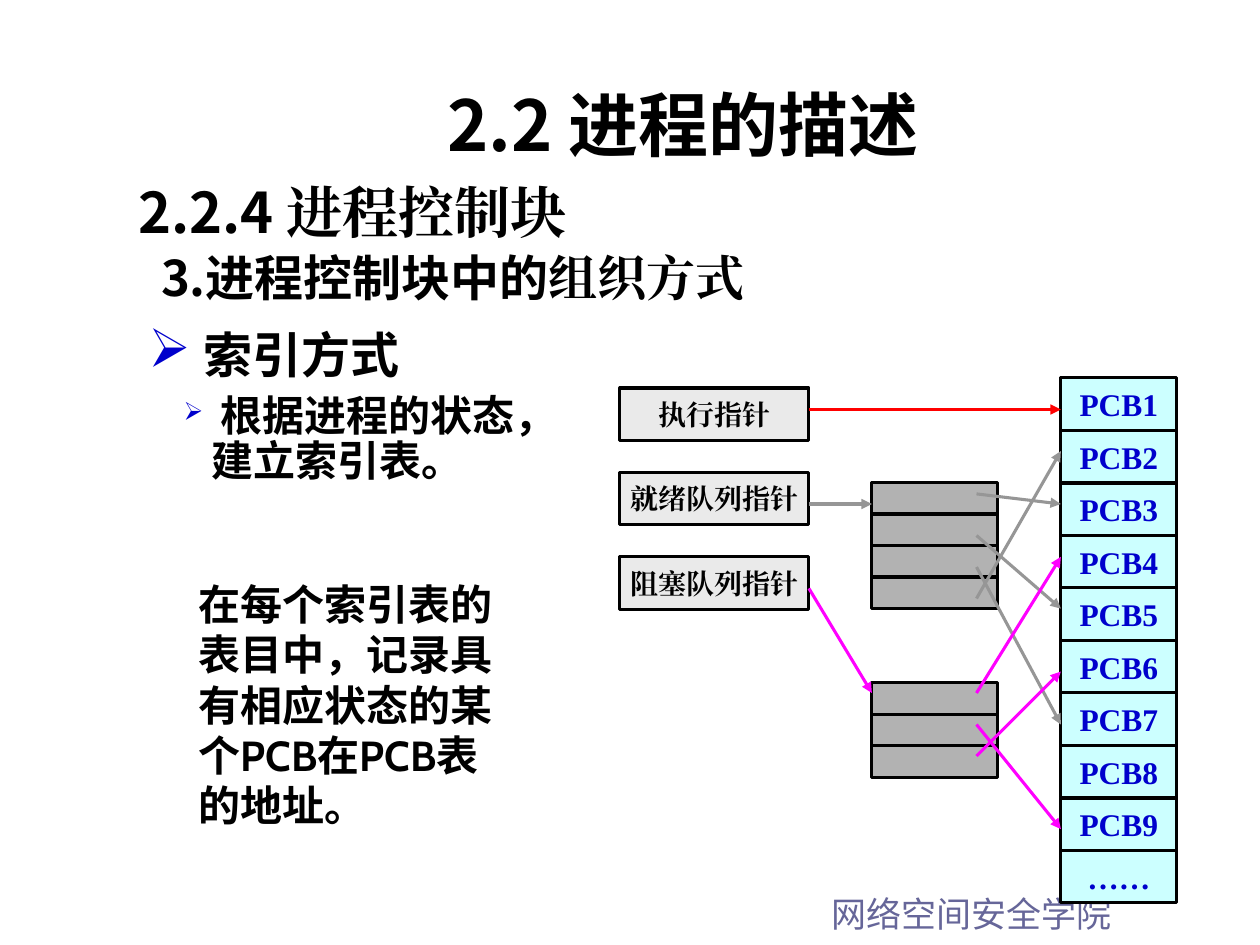
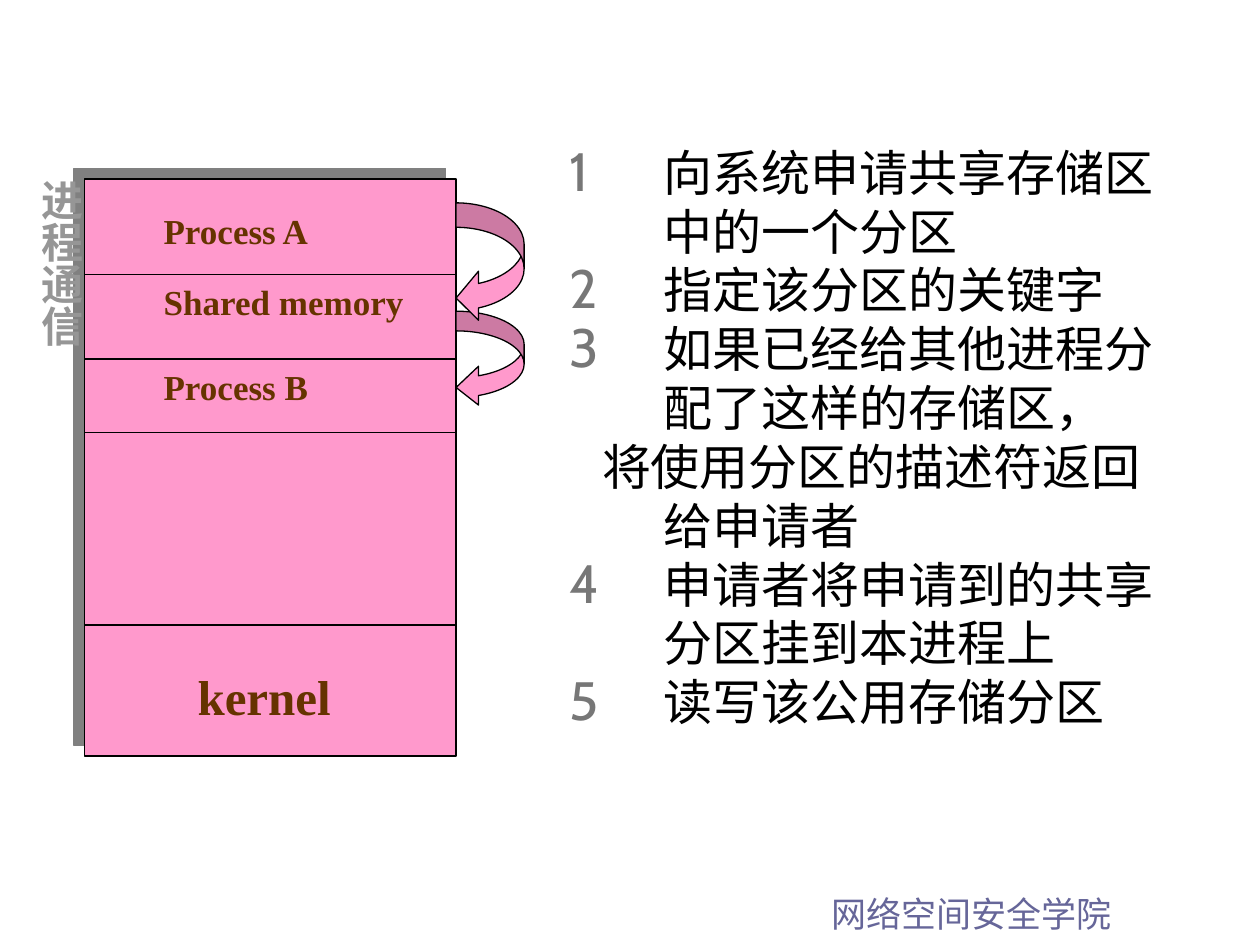
from lxml import etree
from pptx import Presentation
from pptx.dml.color import RGBColor
from pptx.enum.shapes import MSO_CONNECTOR, MSO_SHAPE
from pptx.enum.text import MSO_ANCHOR, PP_ALIGN
from pptx.oxml.ns import qn
from pptx.util import Inches, Pt

COLORS = {
    "black": "000000", "footer": "666699", "blue": "0000CC", "pcb": "CCFFFF",
    "pointer": "EAEAEA", "index": "B2B2B2", "running": "FF0000", "ready": "969696",
    "blocked": "FF00FF", "number": "777777", "memory": "FF99CC", "brown": "663300",
    "shadow": "808080",
}
SANS, SANS_SC, SERIF, BODY = "Noto Sans CJK JP", "Noto Sans CJK SC", "Times New Roman", "Cabin"

FOOTER = "网络空间安全学院"
TITLE = "2.2 进程的描述"
# indent, size, (text, font) runs
HEADINGS = [
    (0, 32, [("2.2.4 ", SANS_SC), ("进程控制块", SERIF)]),
    (0.18, 28, [("3.进程控制块中的", SANS_SC), ("组织方式", SERIF)]),
]
# text, size, left margin, first-line indent, space before, bullet size
BULLETS = [
    ("索引方式", 28, 0.44, -0.44, 7, 110),
    (" 根据进程的状态，建立索引表。", 24, 0.5, -0.22, 6, 60),
]
INDEX_NOTE = ["在每个索引表的", "表目中，记录具", "有相应状态的某", "个PCB在PCB表", "的地址。"]

PCBS = [f"PCB{number}" for number in range(1, 10)] + ["……"]
POINTERS = ["执行指针", "就绪队列指针", "阻塞队列指针"]
INDEX_TABLES = [(3.83, 4), (5.42, 3)]  # top, entries
POINTER_RIGHT, INDEX_LEFT, ENTRY_X, PCB_LEFT = 6.42, 6.92, 7.75, 8.42
ARROWS = [
    ("running", (POINTER_RIGHT, 3.25), (PCB_LEFT, 3.25)),
    ("ready", (POINTER_RIGHT, 4), (INDEX_LEFT, 4)),
    ("blocked", (POINTER_RIGHT, 4.67), (INDEX_LEFT, 5.5)),
    ("ready", (ENTRY_X, 3.92), (PCB_LEFT, 4)),
    ("ready", (ENTRY_X, 4.25), (PCB_LEFT, 4.83)),
    ("ready", (ENTRY_X, 4.5), (PCB_LEFT, 5.75)),
    ("ready", (ENTRY_X, 4.75), (PCB_LEFT, 3.58)),
    ("blocked", (ENTRY_X, 5.5), (PCB_LEFT, 4.42)),
    ("blocked", (ENTRY_X, 6), (PCB_LEFT, 5.33)),
    ("blocked", (ENTRY_X, 5.75), (PCB_LEFT, 6.58)),
]

SIDE_TITLE = " 进程通信"
# text, first number of its list (None for an unnumbered line)
STEPS = [
    ("向系统申请共享存储区中的一个分区", 1),
    ("指定该分区的关键字", 1),
    ("如果已经给其他进程分配了这样的存储区，", 1),
    ("将使用分区的描述符返回给申请者", None),
    ("申请者将申请到的共享分区挂到本进程上", 4),
    ("读写该公用存储分区", 4),
]
MEMORY_LEFT, MEMORY_TOP, MEMORY_WIDTH, MEMORY_HEIGHT = 0.67, 1.42, 2.95, 4.58
MEMORY_LABELS = [
    ("Process A", 20, (1.2, 1.61, 1.61, 0.57)),
    ("Process B", 20, (1.2, 2.85, 1.61, 0.57)),
    ("Shared memory", 20, (1.2, 2.18, 2.15, 0.57)),
    ("kernel", 28, (1.47, 5.24, 1.34, 0.57)),
]
DIVIDERS = [2.18, 2.85, 3.43, 4.96]
# top, height, (shaft, head width, head length)
CURVED_ARROWS = [(2.47, 0.76, (0.29, 0.57, 0.33)), (1.61, 0.95, (0.36, 0.72, 0.33))]


def rgb(name):
    return RGBColor.from_string(COLORS[name])


def add_child(parent, tag, **attributes):
    child = etree.SubElement(parent, qn(tag))
    for name, value in attributes.items():
        child.set(name, str(value))
    return child


def format_run(run, size, font, color="black", bold=False, east_asian=None):
    run.font.size, run.font.name, run.font.bold = Pt(size), font, bold
    run.font.color.rgb = rgb(color)
    add_child(run._r.get_or_add_rPr(), "a:ea", typeface=east_asian or font)


def set_indent(paragraph, left, first=0):
    properties = paragraph._p.get_or_add_pPr()
    properties.set("marL", str(Inches(left)))
    properties.set("indent", str(Inches(first)))
    return properties


def add_bullet(properties, color, size, tag, **attributes):
    add_child(add_child(properties, "a:buClr"), "a:srgbClr", val=COLORS[color])
    add_child(properties, "a:buSzPct", val=size * 1000)
    add_child(properties, tag, **attributes)


def add_text(slide, box, lines, size, font, color="black", bold=False,
             align=None, spacing=None, wrap=True):
    """Add a text box with one paragraph per line, all in one style."""
    shape = slide.shapes.add_textbox(*map(Inches, box))
    frame = shape.text_frame
    frame.word_wrap = wrap
    frame.text = "\n".join(lines)
    for paragraph in frame.paragraphs:
        paragraph.alignment, paragraph.line_spacing = align, spacing
        for run in paragraph.runs:
            format_run(run, size, font, color, bold)
    return shape


def add_box(slide, box, fill, line_width=None, kind=MSO_SHAPE.RECTANGLE):
    shape = slide.shapes.add_shape(kind, *map(Inches, box))
    shape.shadow.inherit = False
    shape.fill.solid()
    shape.fill.fore_color.rgb = rgb(fill)
    if line_width:
        shape.line.color.rgb = rgb("black")
        shape.line.width = Pt(line_width)
    else:
        shape.line.fill.background()
    return shape


def label_box(shape, text, size, color, align, anchor, wrap):
    frame = shape.text_frame
    frame.text = text
    frame.word_wrap, frame.vertical_anchor = wrap, anchor
    frame.paragraphs[0].alignment = align
    format_run(frame.paragraphs[0].runs[0], size, SERIF, color, bold=True)


def add_line(slide, start, end, color, width, arrow=False):
    line = slide.shapes.add_connector(MSO_CONNECTOR.STRAIGHT, *map(Inches, start + end))
    line.line.color.rgb = rgb(color)
    line.line.width = Pt(width)
    if arrow:
        add_child(line.line._get_or_add_ln(), "a:tailEnd", type="triangle")
    add_child(line._element.spPr, "a:effectLst")


def new_slide(presentation):
    slide = presentation.slides.add_slide(presentation.slide_layouts[6])
    add_text(slide, (6.5, 7.07, 3.5, 0.44), [FOOTER], 20, SANS, "footer", spacing=0.9)
    return slide


def add_outline(slide):
    frame = slide.shapes.add_textbox(*map(Inches, (1, 1.33, 8.58, 1.3))).text_frame
    frame.word_wrap = True
    for index, (indent, size, runs) in enumerate(HEADINGS):
        paragraph = frame.add_paragraph() if index else frame.paragraphs[0]
        paragraph.line_spacing = 1.05
        set_indent(paragraph, indent)
        for text, font in runs:
            run = paragraph.add_run()
            run.text = text
            format_run(run, size, font, bold=True)

    frame = slide.shapes.add_textbox(*map(Inches, (1.08, 2.58, 3.33, 1.39))).text_frame
    frame.word_wrap = True
    frame.text = "\n".join(bullet[0] for bullet in BULLETS)
    for level, (paragraph, bullet) in enumerate(zip(frame.paragraphs, BULLETS)):
        _, size, left, first, before, bullet_size = bullet
        paragraph.level, paragraph.line_spacing = level, 0.9
        paragraph.space_before = Pt(before)
        properties = set_indent(paragraph, left, first)
        add_bullet(properties, "blue", bullet_size, "a:buChar", char="➢")
        format_run(paragraph.runs[0], size, SERIF, bold=True, east_asian=BODY)


def build_index_slide(presentation):
    slide = new_slide(presentation)
    add_outline(slide)
    centered = (PP_ALIGN.CENTER, MSO_ANCHOR.MIDDLE, False)
    row_height = 5 / 12
    for row, name in enumerate(PCBS):
        box = add_box(slide, (PCB_LEFT, 3 + row * row_height, 0.92, row_height), "pcb", 1.75)
        label_box(box, name, 18, "blue", *centered)
    for row, name in enumerate(POINTERS):
        box = add_box(slide, (4.92, 3.08 + row * 0.67, 1.5, row_height), "pointer", 1.75)
        label_box(box, name, 16, "black", *centered)
    for top, entries in INDEX_TABLES:
        for entry in range(entries):
            add_box(slide, (INDEX_LEFT, top + entry * 0.25, 1, 0.25), "index", 1.75)
    for color, start, end in ARROWS:
        add_line(slide, start, end, color, 1.75, arrow=True)
    add_text(slide, (1.42, 0.67, 8, 0.77), [TITLE], 40, SANS, bold=True,
             align=PP_ALIGN.CENTER, spacing=0.9)
    add_text(slide, (1.48, 4.54, 2.81, 2.1), INDEX_NOTE, 24, BODY, bold=True, wrap=False)


def build_shared_memory_slide(presentation):
    slide = new_slide(presentation)
    steps = add_text(slide, (4.42, 1.08, 5.08, 5.58), [text for text, _ in STEPS], 28, BODY)
    for paragraph, (_, start) in zip(steps.text_frame.paragraphs, STEPS):
        properties = set_indent(paragraph, 0.75, -0.75 if start else -0.49)
        if start:
            add_bullet(properties, "number", 110, "a:buAutoNum",
                       type="arabicPlain", startAt=start)

    memory = add_box(slide, (MEMORY_LEFT, MEMORY_TOP, MEMORY_WIDTH, MEMORY_HEIGHT),
                     "memory", 0.75)
    effects = memory._element.spPr.find(qn("a:effectLst"))
    shadow = add_child(effects, "a:outerShdw", dist=Pt(8.5), dir=225 * 60000,
                       algn="ctr", rotWithShape=0)
    add_child(shadow, "a:srgbClr", val=COLORS["shadow"])
    for text, size, box in MEMORY_LABELS:
        label_box(add_box(slide, box, "memory"), text, size, "brown",
                  PP_ALIGN.JUSTIFY, MSO_ANCHOR.TOP, True)
    memory_right = MEMORY_LEFT + MEMORY_WIDTH
    for y in DIVIDERS:
        add_line(slide, (MEMORY_LEFT, y), (memory_right, y), "black", 0.75)
    for top, height, adjustments in CURVED_ARROWS:
        arrow = add_box(slide, (memory_right, top, 0.54, height), "memory", 0.75,
                        MSO_SHAPE.CURVED_LEFT_ARROW)
        for index, value in enumerate(adjustments):
            arrow.adjustments[index] = value

    side = add_text(slide, (0.07, 1.25, 0.6, 4.58), [SIDE_TITLE], 24, SANS, "ready",
                    bold=True, align=PP_ALIGN.CENTER, spacing=0.9)
    frame = side.text_frame
    frame.margin_left = frame.margin_right = Inches(0.05)
    frame.margin_top = frame.margin_bottom = Inches(0.1)
    frame._txBody.bodyPr.set("vert", "eaVert")


def main():
    presentation = Presentation()
    presentation.slide_width, presentation.slide_height = Inches(10), Inches(7.5)
    build_index_slide(presentation)
    build_shared_memory_slide(presentation)
    presentation.save("out.pptx")


if __name__ == "__main__":
    main()
